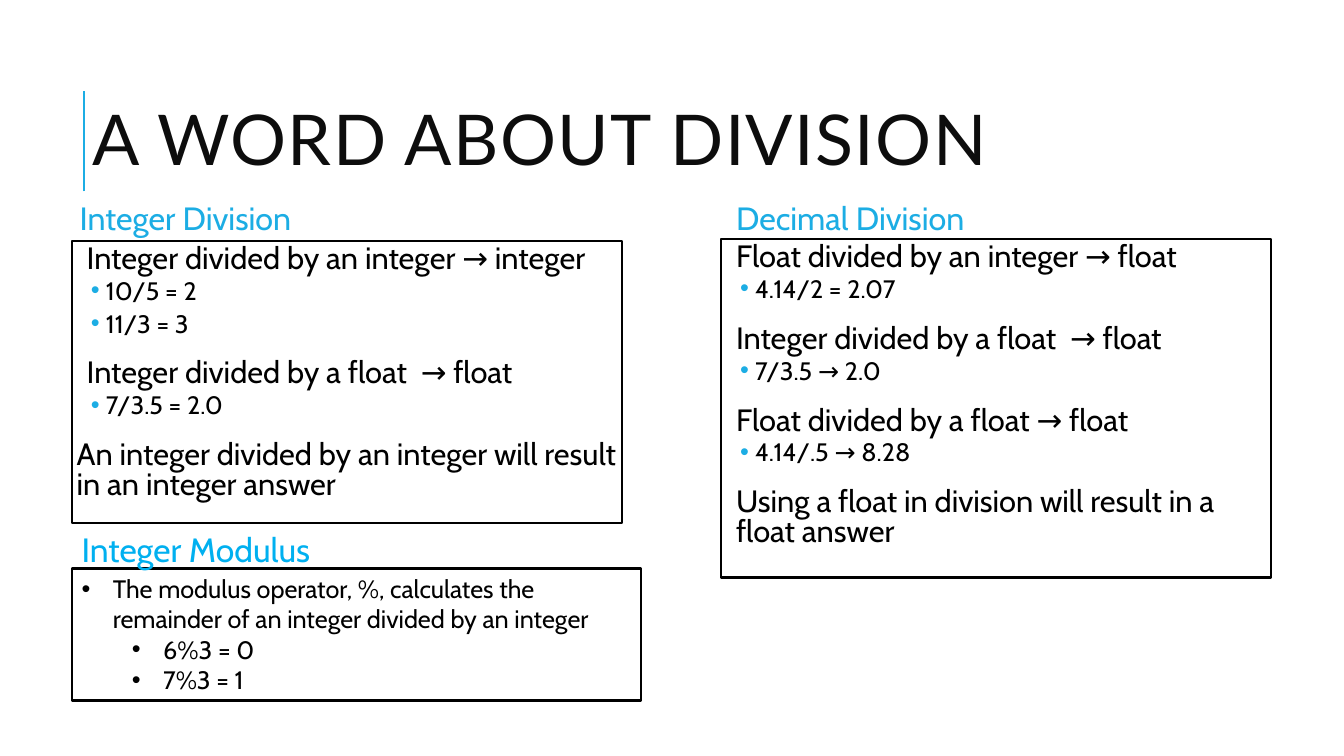
from lxml import etree
from pptx import Presentation
from pptx import util as u
from pptx.dml.color import RGBColor
from pptx.enum import shapes, text
from pptx.oxml.ns import qn

ACCENT, BLACK = "1CADE4", "000000"
THIN = (0.05, 0.05, 0.05, 0.05)
WIDE = (0.15, 0.05, 0.15, 0.05)
NORMAL = (0.1, 0.05, 0.1, 0.05)

# Paragraph styles: font size, spacing, left margin and bullet
RULE = {"size": 22, "line_spacing": 0.8, "space_before": 12, "space_after": 2, "margin": 0.1}
CONCLUSION = {**RULE, "margin": 0}
EXAMPLE = {"size": 18, "line_spacing": 0.8, "space_before": 2, "space_after": 4,
           "level": 1, "margin": 0.29, "hanging": 0.15, "bullet": ACCENT}
NOTE = {"size": 18, "margin": 0.31, "hanging": 0.31, "bullet": BLACK}
NOTE_EXAMPLE = {**NOTE, "level": 1, "margin": 0.81}
HEADING = {"size": 23, "color": ACCENT, "line_spacing": 0.9}
SUBHEADING = {"size": 24, "color": "00B0F0", "space_after": 10}
TITLE = {"size": 50, "color": "0D0D0D", "font": "Lato", "line_spacing": 0.8, "tracking": 100}


def color(hex_string):
    return RGBColor.from_string(hex_string)


class Deck:
    """Holds the style and the current slide; positions are percentages of the slide."""

    font = "Cabin"
    line_width = u.Pt(1.5)

    def __init__(self):
        self.presentation = Presentation()
        self.presentation.slide_width = u.Inches(13.33)
        self.presentation.slide_height = u.Inches(7.5)
        self.slide = self.presentation.slides.add_slide(self.presentation.slide_layouts[6])

    def across(self, percent):
        return u.Emu(round(self.presentation.slide_width * percent / 100))

    def down(self, percent):
        return u.Emu(round(self.presentation.slide_height * percent / 100))

    def place(self, left, top, width, height):
        return self.across(left), self.down(top), self.across(width), self.down(height)

    def line(self, x, top, bottom):
        connector = self.slide.shapes.add_connector(
            shapes.MSO_CONNECTOR.STRAIGHT,
            self.across(x), self.down(bottom), self.across(x), self.down(top))
        connector.line.color.rgb = color(ACCENT)
        connector.line.width = self.line_width
        etree.SubElement(connector.element.spPr, qn("a:effectLst"))

    def label(self, area, words, style, anchor=text.MSO_ANCHOR.MIDDLE, insets=NORMAL):
        shape = self.slide.shapes.add_textbox(*self.place(*area))
        self.fill_text(shape.text_frame, [(words, style)], anchor, insets)

    def box(self, area, lines, insets=THIN, fit=text.MSO_AUTO_SIZE.NONE):
        shape = self.slide.shapes.add_shape(
            shapes.MSO_SHAPE.RECTANGLE, *self.place(*area))
        shape.shadow.inherit = False
        shape.fill.background()
        shape.line.color.rgb = color(BLACK)
        shape.line.width = self.line_width
        self.fill_text(shape.text_frame, lines, text.MSO_ANCHOR.TOP, insets)
        shape.text_frame.auto_size = fit

    def fill_text(self, frame, lines, anchor, insets):
        frame.word_wrap = True
        frame.vertical_anchor = anchor
        for side, inset in zip(("left", "top", "right", "bottom"), insets):
            setattr(frame, f"margin_{side}", u.Inches(inset))
        for index, (words, style) in enumerate(lines):
            paragraph = frame.add_paragraph() if index else frame.paragraphs[0]
            self.style_paragraph(paragraph, words, style)

    def style_paragraph(self, paragraph, words, style):
        formats = {
            "alignment": text.PP_ALIGN.LEFT,
            "level": style.get("level", 0),
            "line_spacing": style.get("line_spacing", 1.0),
            "space_before": u.Pt(style.get("space_before", 0)),
            "space_after": u.Pt(style.get("space_after", 0)),
        }
        for name, value in formats.items():
            setattr(paragraph, name, value)
        run = paragraph.add_run()
        run.text = words
        run.font.name = style.get("font", self.font)
        run.font.size = u.Pt(style["size"])
        run.font.color.rgb = color(style.get("color", BLACK))
        if "tracking" in style:
            run._r.get_or_add_rPr().set("spc", str(style["tracking"]))

        # Indent and bullet
        properties = paragraph._p.get_or_add_pPr()
        properties.set("marL", str(u.Inches(style.get("margin", 0))))
        properties.set("indent", str(-u.Inches(style.get("hanging", 0))))
        if "bullet" in style:
            bullet_color = etree.SubElement(properties, qn("a:buClr"))
            etree.SubElement(bullet_color, qn("a:srgbClr"), val=style["bullet"])
            etree.SubElement(properties, qn("a:buFont"), typeface="Arial")
            etree.SubElement(properties, qn("a:buChar"), char="•")
        else:
            etree.SubElement(properties, qn("a:buNone"))


def main():
    deck = Deck()

    # Title with its accent line
    deck.line(6.23, 12, 25.33)
    deck.label((6.15, 13.87, 83.12, 10.8), "A WORD ABOUT DIVISION", TITLE)

    # Integer division
    deck.label((4.8, 24.93, 38.63, 8.4), "Integer Division", HEADING, insets=WIDE)
    deck.box((5.33, 31.87, 40.96, 37.33), [
        ("Integer divided by an integer → integer", RULE),
        ("10/5 = 2", EXAMPLE),
        ("11/3 = 3", EXAMPLE),
        ("Integer divided by a float  → float", RULE),
        ("7/3.5 = 2.0", EXAMPLE),
        ("An integer divided by an integer will result in an integer answer", CONCLUSION),
    ])

    # Decimal division
    deck.label((53.64, 24.93, 38.63, 8.4), "Decimal Division", HEADING, insets=WIDE)
    deck.box((53.64, 31.6, 40.96, 44.8), [
        ("Float divided by an integer → float", RULE),
        ("4.14/2 = 2.07", EXAMPLE),
        ("Integer divided by a float  → float", RULE),
        ("7/3.5 → 2.0", EXAMPLE),
        ("Float divided by a float → float", RULE),
        ("4.14/.5 → 8.28", EXAMPLE),
        ("Using a float in division will result in a float answer", RULE),
    ])

    # Integer modulus
    deck.box((5.33, 75.2, 42.39, 17.47), [
        ("The modulus operator, %, calculates the remainder of an integer "
         "divided by an integer", NOTE),
        ("6%3 = 0", NOTE_EXAMPLE),
        ("7%3 = 1", NOTE_EXAMPLE),
    ], insets=NORMAL, fit=text.MSO_AUTO_SIZE.SHAPE_TO_FIT_TEXT)
    deck.label((5.33, 67.6, 38.63, 8.4), "Integer Modulus", SUBHEADING,
               anchor=text.MSO_ANCHOR.BOTTOM)

    deck.presentation.save("out.pptx")


if __name__ == "__main__":
    main()
